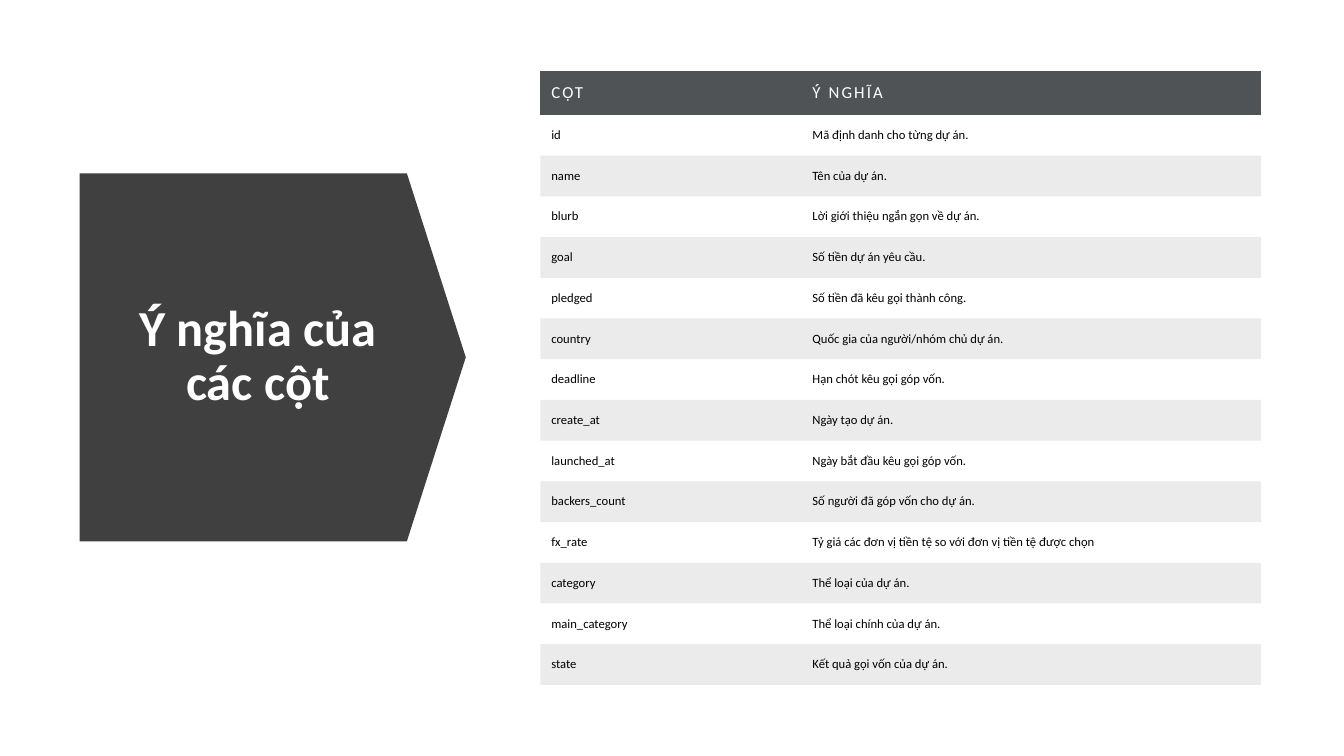
from lxml import etree
from pptx import Presentation
from pptx import util as u
from pptx.dml.color import RGBColor
from pptx.enum import shapes, text
from pptx.oxml.ns import qn

COLORS = {"arrow": "404040", "header": "505356", "band": "000000",
          "ink": "000000", "light": "FFFFFF"}
PLAIN_TABLE_STYLE = "{2D5ABB26-0587-4C30-8999-92F81FD0307C}"
COLUMNS = [
    ("id", "Mã định danh cho từng dự án."),
    ("name", "Tên của dự án."),
    ("blurb", "Lời giới thiệu ngắn gọn về dự án."),
    ("goal", "Số tiền dự án yêu cầu."),
    ("pledged", "Số tiền đã kêu gọi thành công."),
    ("country", "Quốc gia của người/nhóm chủ dự án."),
    ("deadline", "Hạn chót kêu gọi góp vốn."),
    ("create_at", "Ngày tạo dự án."),
    ("launched_at", "Ngày bắt đầu kêu gọi góp vốn."),
    ("backers_count", "Số người đã góp vốn cho dự án."),
    ("fx_rate", "Tỷ giá các đơn vị tiền tệ so với đơn vị tiền tệ được chọn"),
    ("category", "Thể loại của dự án."),
    ("main_category", "Thể loại chính của dự án."),
    ("state", "Kết quả gọi vốn của dự án."),
]


class SlideBuilder:
    """Draws on one slide; lengths are percentages of its width and height."""

    font = "Calibri"

    def __init__(self, deck):
        self.deck = deck
        self.page = deck.slides.add_slide(deck.slide_layouts[5])

    def across(self, percent):
        return u.Emu(round(self.deck.slide_width * percent / 100))

    def down(self, percent):
        return u.Emu(round(self.deck.slide_height * percent / 100))

    def area(self, left, top, width, height):
        return self.across(left), self.down(top), self.across(width), self.down(height)

    def fill(self, target, color, opacity=100):
        target.fill.solid()
        target.fill.fore_color.rgb = RGBColor.from_string(COLORS[color])
        if opacity < 100:
            for tint in target.fill._xPr.iter(qn("a:srgbClr")):
                etree.SubElement(tint, qn("a:alpha"), val=str(opacity * 1000))

    def add_span(self, para, words, size, color, bold=False, spacing=0):
        """Add one run; spacing is the gap between letters in points."""
        span = para.add_run()
        span.text = words
        span.font.name = self.font
        span.font.size = u.Pt(size)
        span.font.bold = bold
        span.font.color.rgb = RGBColor.from_string(COLORS[color])
        if spacing:
            span.font._element.set("spc", str(round(spacing * 100)))

    def title(self, words, area):
        box = self.page.shapes.title
        box.left, box.top, box.width, box.height = self.area(*area)
        frame = box.text_frame
        frame.word_wrap = True
        frame.auto_size = text.MSO_AUTO_SIZE.NONE
        frame.vertical_anchor = text.MSO_ANCHOR.MIDDLE
        para = frame.paragraphs[0]
        para.alignment = text.PP_ALIGN.CENTER
        para.line_spacing = 0.9
        self.add_span(para, words, 36, "light", bold=True)

    def arrow_behind_title(self, area):
        arrow = self.page.shapes.add_shape(
            shapes.MSO_SHAPE.DOWN_ARROW, *self.area(*area))
        arrow.rotation = 270
        arrow.adjustments[0], arrow.adjustments[1] = 1, 0.16
        arrow.shadow.inherit = False
        self.fill(arrow, "arrow")
        arrow.line.fill.background()
        self.page.shapes.title._element.addprevious(arrow._element)

    def cell(self, cell, words, row):
        cell.vertical_anchor = text.MSO_ANCHOR.MIDDLE
        cell.margin_left = cell.margin_right = u.Inches(0.11)
        cell.margin_top = cell.margin_bottom = u.Inches(0.11)
        para = cell.text_frame.paragraphs[0]
        if row == 0:
            self.fill(cell, "header")
            self.add_span(para, words, 12, "light", spacing=1.5)
            return
        if row % 2:
            cell.fill.background()
        else:
            self.fill(cell, "band", opacity=8)
        self.add_span(para, words, 9, "ink")

    def table(self, rows, left, top, widths, header_height, row_height):
        height = header_height + row_height * (len(rows) - 1)
        table = self.page.shapes.add_table(
            len(rows), len(widths), *self.area(left, top, sum(widths), height)).table
        table.first_row = table.horz_banding = False
        table._tbl.tblPr.find(qn("a:tableStyleId")).text = PLAIN_TABLE_STYLE
        for column, width in zip(table.columns, widths):
            column.width = self.across(width)
        for number, values in enumerate(rows):
            table.rows[number].height = self.down(row_height if number else header_height)
            for index, words in enumerate(values):
                self.cell(table.cell(number, index), words, number)


def main():
    deck = Presentation()
    deck.slide_width, deck.slide_height = u.Inches(13.33), u.Inches(7.5)
    slide = SlideBuilder(deck)
    slide.title("Ý nghĩa của các cột", (8.4, 28.67, 21.6, 37.2))
    slide.arrow_behind_title((6.6, 21.73, 27.38, 51.07))
    slide.table([("CỘT", "Ý NGHĨA")] + COLUMNS, left=40.2, top=9.35,
                widths=(19.43, 34.2), header_height=5.85, row_height=5.39)
    deck.save("out.pptx")


if __name__ == "__main__":
    main()
